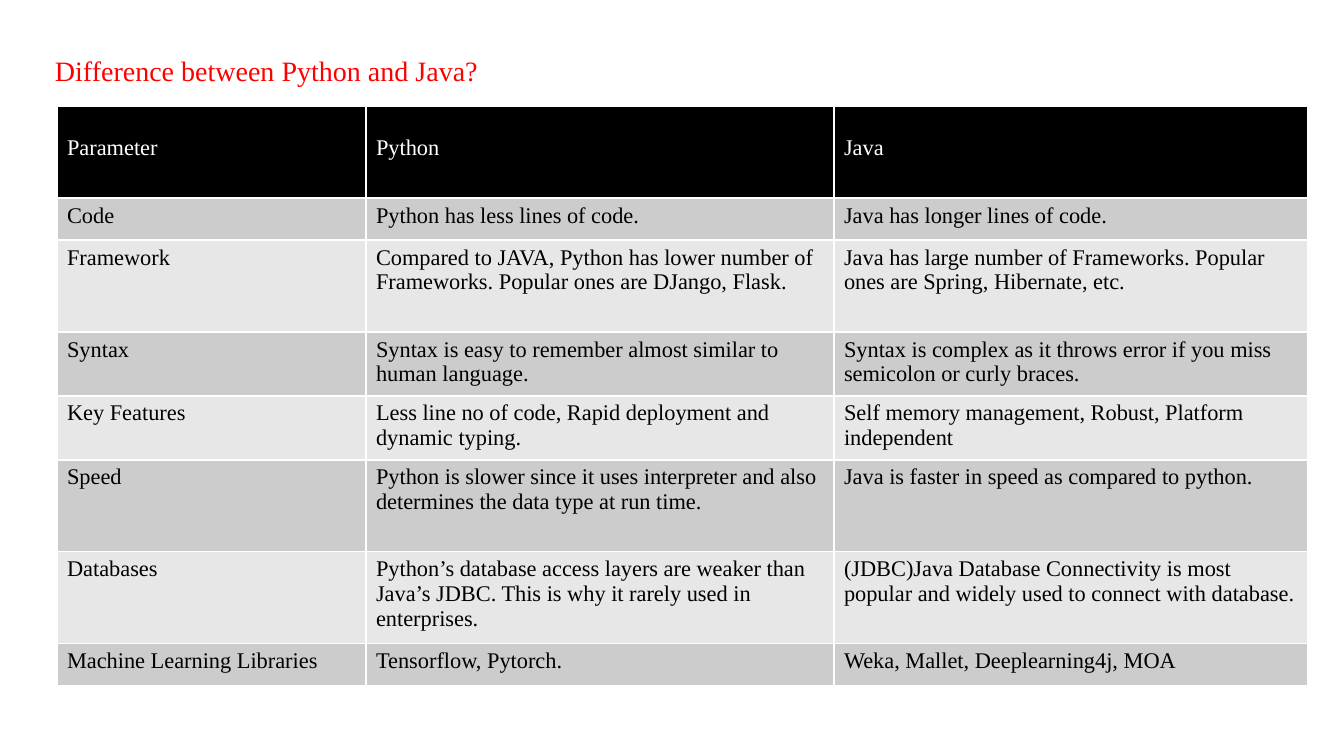
from dataclasses import dataclass

from lxml.etree import SubElement
from pptx import Presentation
from pptx.dml.color import RGBColor as Rgb
from pptx.enum.text import MSO_ANCHOR as Anchor
from pptx.oxml.ns import qn
from pptx.util import Emu, Pt

EMU_PER_PX = 914400 / 100.8


@dataclass(frozen=True)
class Theme:
    font: str = "Times New Roman"
    title_size: int = 20
    table_size: int = 16
    title: str = "FF0000"
    header_text: str = "FFFFFF"
    body_text: str = "000000"
    header_fill: str = "000000"
    band_fills: tuple = ("CCCCCC", "E7E7E7")
    border: str = "FFFFFF"
    border_width: int = 1


THEME = Theme()

COLUMN_WIDTHS = (309, 468, 474)
ROW_HEIGHTS = (92, 42, 92, 64, 64, 92, 92, 42)
HEADER_TOP_MARGIN = 30
COMPARISON = (
    ("Parameter", "Python", "Java"),
    ("Code", "Python has less lines of code.", "Java has longer lines of code."),
    ("Framework",
     "Compared to JAVA, Python has lower number of Frameworks. "
     "Popular ones are DJango, Flask.",
     "Java has large number of Frameworks. "
     "Popular ones are Spring, Hibernate, etc."),
    ("Syntax",
     "Syntax is easy to remember almost similar to human language.",
     "Syntax is complex as it throws error if you miss semicolon or curly braces."),
    ("Key Features",
     "Less line no of code, Rapid deployment and dynamic typing.",
     "Self memory management, Robust, Platform independent"),
    ("Speed",
     "Python is slower since it uses interpreter and also determines "
     "the data type at run time.",
     "Java is faster in speed as compared to python."),
    ("Databases",
     "Python’s database access layers are weaker than Java’s JDBC. "
     "This is why it rarely used in enterprises.",
     "(JDBC)Java Database Connectivity is most popular and widely used "
     "to connect with database."),
    ("Machine Learning Libraries", "Tensorflow, Pytorch.",
     "Weka, Mallet, Deeplearning4j, MOA"),
)


def px(length):
    return Emu(round(length * EMU_PER_PX))


def write(frame, words, size, color):
    """Put one formatted run into a text frame."""
    frame.word_wrap = True
    run = frame.paragraphs[0].add_run()
    run.text = words
    font_format = {"name": THEME.font, "size": Pt(size), "bold": False}
    for attribute, value in font_format.items():
        setattr(run.font, attribute, value)
    run.font.color.rgb = Rgb.from_string(color)


def add_title(slide, words, left, top, width, height):
    title = slide.shapes.add_textbox(px(left), px(top), px(width), px(height))
    write(title.text_frame, words, THEME.title_size, THEME.title)


def outline_cell(cell):
    properties = cell._tc.get_or_add_tcPr()
    for side in ("a:lnL", "a:lnR", "a:lnT", "a:lnB"):
        edge = SubElement(properties, qn(side), w=str(Pt(THEME.border_width)))
        paint = SubElement(edge, qn("a:solidFill"))
        SubElement(paint, qn("a:srgbClr"), val=THEME.border)


def fill_cell(cell, words, fill, color):
    outline_cell(cell)
    cell.fill.solid()
    cell.fill.fore_color.rgb = Rgb.from_string(fill)
    cell.vertical_anchor = Anchor.TOP
    write(cell.text_frame, words, THEME.table_size, color)


def add_comparison(slide, left, top):
    frame = slide.shapes.add_table(
        len(ROW_HEIGHTS), len(COLUMN_WIDTHS), px(left), px(top),
        px(sum(COLUMN_WIDTHS)), px(sum(ROW_HEIGHTS)))
    table = frame.table
    for column, width in zip(table.columns, COLUMN_WIDTHS):
        column.width = px(width)
    for index, (row, height, entries) in enumerate(
            zip(table.rows, ROW_HEIGHTS, COMPARISON)):
        row.height = px(height)
        is_header = index == 0
        fill = THEME.header_fill if is_header else THEME.band_fills[(index - 1) % 2]
        color = THEME.header_text if is_header else THEME.body_text
        for cell, words in zip(row.cells, entries):
            fill_cell(cell, words, fill, color)
            if is_header:
                cell.margin_top = px(HEADER_TOP_MARGIN)


def main():
    deck = Presentation()
    deck.slide_width, deck.slide_height = px(1344), px(756)
    slide = deck.slides.add_slide(deck.slide_layouts[6])
    add_title(slide, "Difference between Python and Java?", 45, 49, 1251, 112)
    add_comparison(slide, 57, 106)
    deck.save("out.pptx")


if __name__ == "__main__":
    main()
